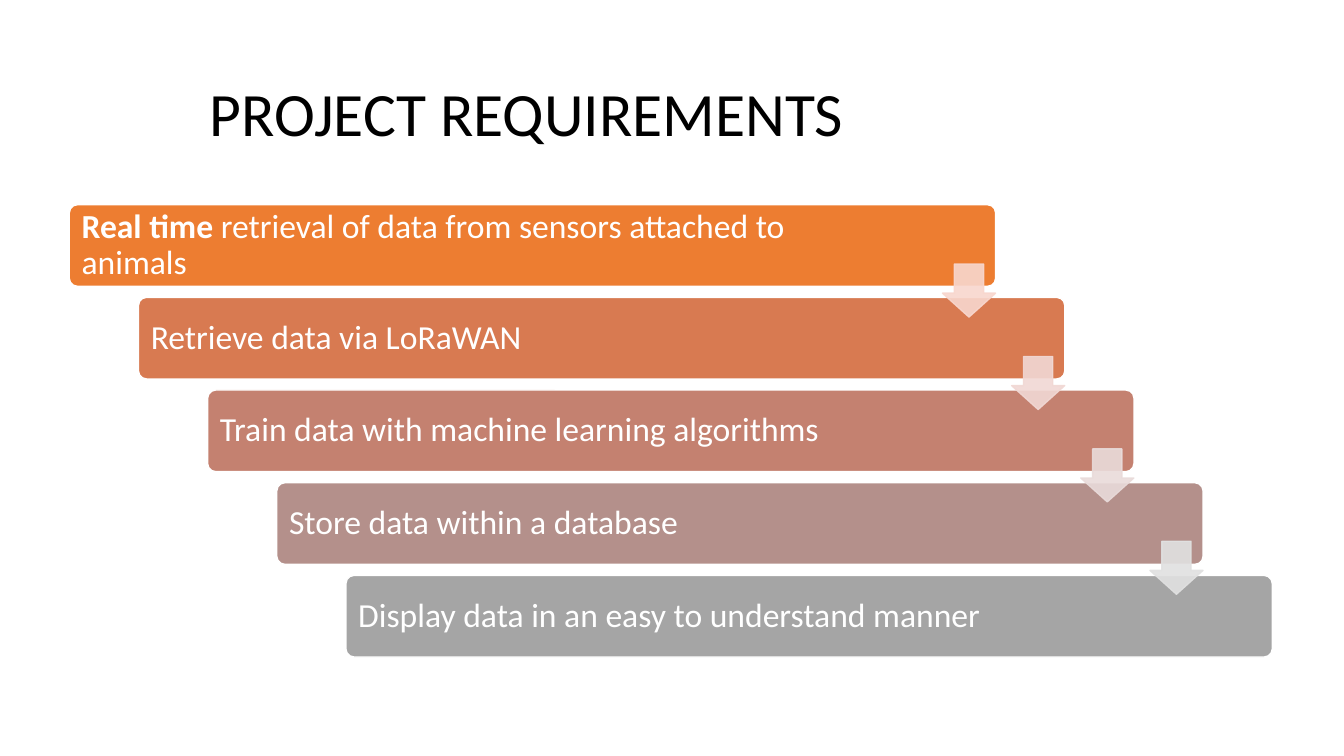
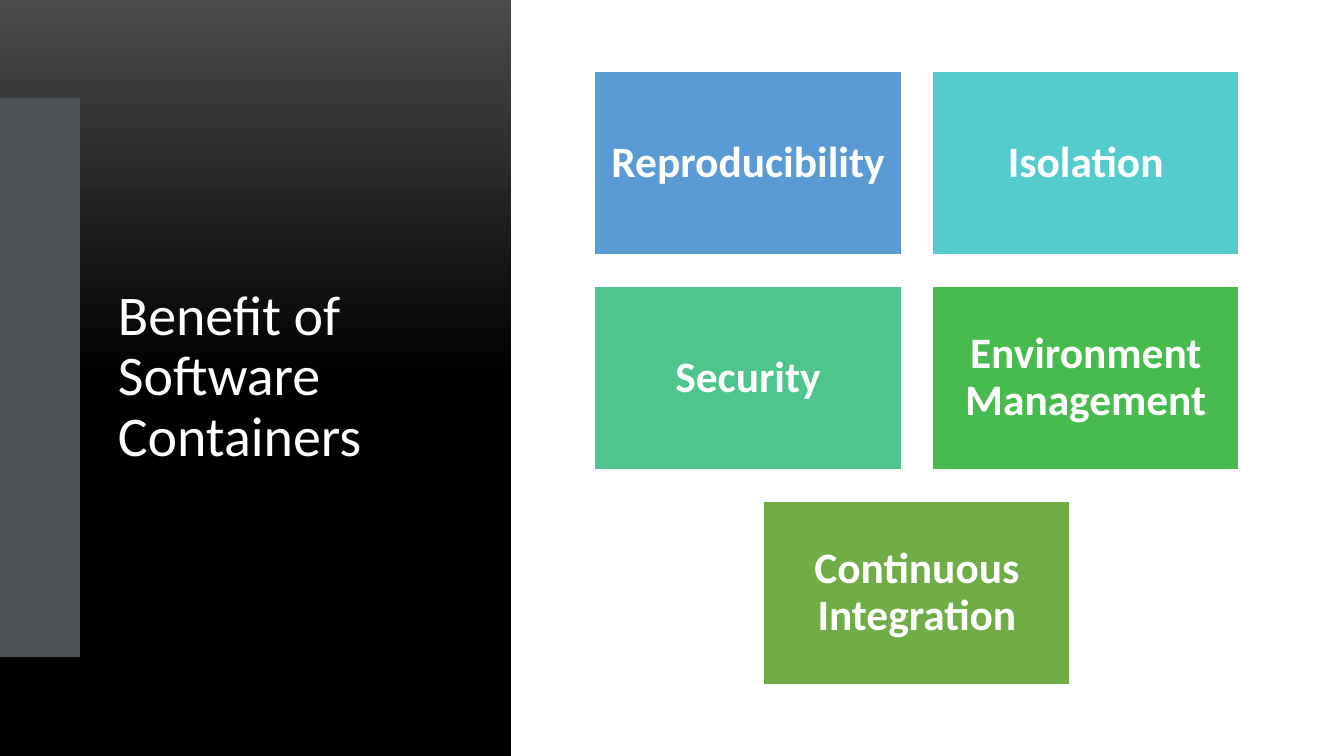
from lxml import etree
from pptx import Presentation
from pptx.dml.color import RGBColor
from pptx.enum.shapes import MSO_SHAPE
from pptx.enum.text import MSO_ANCHOR, MSO_AUTO_SIZE, PP_ALIGN
from pptx.oxml.ns import qn
from pptx.util import Pt

RECT = MSO_SHAPE.RECTANGLE
ROUNDED = MSO_SHAPE.ROUNDED_RECTANGLE
DOWN_ARROW = MSO_SHAPE.DOWN_ARROW
LEFT, CENTER = PP_ALIGN.LEFT, PP_ALIGN.CENTER
MIDDLE = MSO_ANCHOR.MIDDLE
NO_AUTOFIT = MSO_AUTO_SIZE.NONE
FONT = "Calibri"
WHITE, BLACK = "FFFFFF", "000000"
color = RGBColor.from_string


def write(shape, runs, size, text_color, align, insets=(7.2, 3.6, 7.2, 3.6)):
    """Fill a shape with one paragraph of (text, bold) runs; insets run left, top, right, bottom."""
    frame = shape.text_frame
    frame.word_wrap = True
    frame.auto_size = NO_AUTOFIT
    frame.vertical_anchor = MIDDLE
    (frame.margin_left, frame.margin_top,
     frame.margin_right, frame.margin_bottom) = map(Pt, insets)
    paragraph = frame.paragraphs[0]
    paragraph.alignment = align
    paragraph.line_spacing = 0.9
    for text, bold in runs:
        run = paragraph.add_run()
        run.text = text
        run.font.name = FONT
        run.font.size = Pt(size)
        run.font.bold = bold
        run.font.color.rgb = color(text_color)


def add_block(slide, kind, box, fill, line=None):
    """Add a shadowless solid shape, outlined only when a line colour is given."""
    block = slide.shapes.add_shape(kind, *map(Pt, box))
    block.shadow.inherit = False
    block.fill.solid()
    block.fill.fore_color.rgb = color(fill)
    if line:
        block.line.color.rgb = color(line)
        block.line.width = Pt(1)
    else:
        block.line.fill.background()
    return block


prs = Presentation()
prs.slide_width, prs.slide_height = Pt(960), Pt(540)
title_only = prs.slide_layouts[5]

titles = [
    ("PROJECT REQUIREMENTS", 44, BLACK, (142.5, 41, 778.5, 84)),
    ("Benefit of Software Containers", 40, WHITE, (77, 70, 247, 399.5)),
]
slides = []
for text, size, title_color, box in titles:
    slide = prs.slides.add_slide(title_only)
    title = slide.shapes.title
    title.left, title.top, title.width, title.height = map(Pt, box)
    write(title, [(text, False)], size, title_color, LEFT)
    slides.append(slide)
requirements, benefits = slides

# Requirements: a staircase of bars joined by arrows
steps = [
    ("ED7D31", [("Real time", True),
                (" retrieval of data from sensors attached to animals", False)]),
    ("D87A51", [("Retrieve data via LoRaWAN", False)]),
    ("C48170", [("Train data with machine learning algorithms", False)]),
    ("B4908B", [("Store data within a database", False)]),
    ("A5A5A5", [("Display data in an easy to understand manner", False)]),
]
for i, (fill, runs) in enumerate(steps):
    bar = add_block(requirements, ROUNDED,
                    (49.5 + 49.4 * i, 146.2 + 66.2 * i, 661.7, 58.3), fill, WHITE)
    bar.adjustments[0] = 0.1
    write(bar, runs, 24, WHITE, LEFT, (7.2, 7.2, 76, 7.2))

for i, tint in enumerate(["F8D7CE", "F1D8D4", "E9DBDA", "E1E1E1"]):
    arrow = add_block(requirements, DOWN_ARROW,
                      (673.2 + 49.4 * i, 188.6 + 66 * i, 37.9, 37.9), tint, tint)
    arrow.adjustments[0], arrow.adjustments[1] = 0.55, 0.45
    for solid_color in arrow.element.spPr.iter(qn("a:srgbClr")):
        etree.SubElement(solid_color, qn("a:alpha"), val="90000")

# Benefits: a dark title panel beside a grid of tiles
panel = add_block(benefits, RECT, (0, 0, 365, 540), BLACK)
panel.fill.gradient()
panel.fill.gradient_angle = 270
for stop, (position, shade) in zip(panel.fill.gradient_stops,
                                   [(0, "4B4B4B"), (0.5, BLACK)]):
    stop.position = position
    stop.color.rgb = color(shade)
benefits.shapes.title.element.addprevious(panel.element)
add_block(benefits, RECT, (0, 70, 57, 399.5), "4C5254")

tiles = [
    ("Reproducibility", "5B9BD5"),
    ("Isolation", "54CCCD"),
    ("Security", "4DC58D"),
    ("Environment Management", "48BB4F"),
    ("Continuous Integration", "70AD47"),
]
tile_width, tile_height = 219, 131.3
pitch_x, pitch_y = 241.2, 153.4
for i, (benefit, fill) in enumerate(tiles):
    row, column = divmod(i, 2)
    if i == len(tiles) - 1:
        column = 0.5  # the last tile is centred under the pairs
    tile = add_block(benefits, RECT,
                     (424.8 + pitch_x * column, 51 + pitch_y * row,
                      tile_width, tile_height), fill, WHITE)
    write(tile, [(benefit, True)], 31, WHITE, CENTER, (9.3,) * 4)

prs.save("out.pptx")
